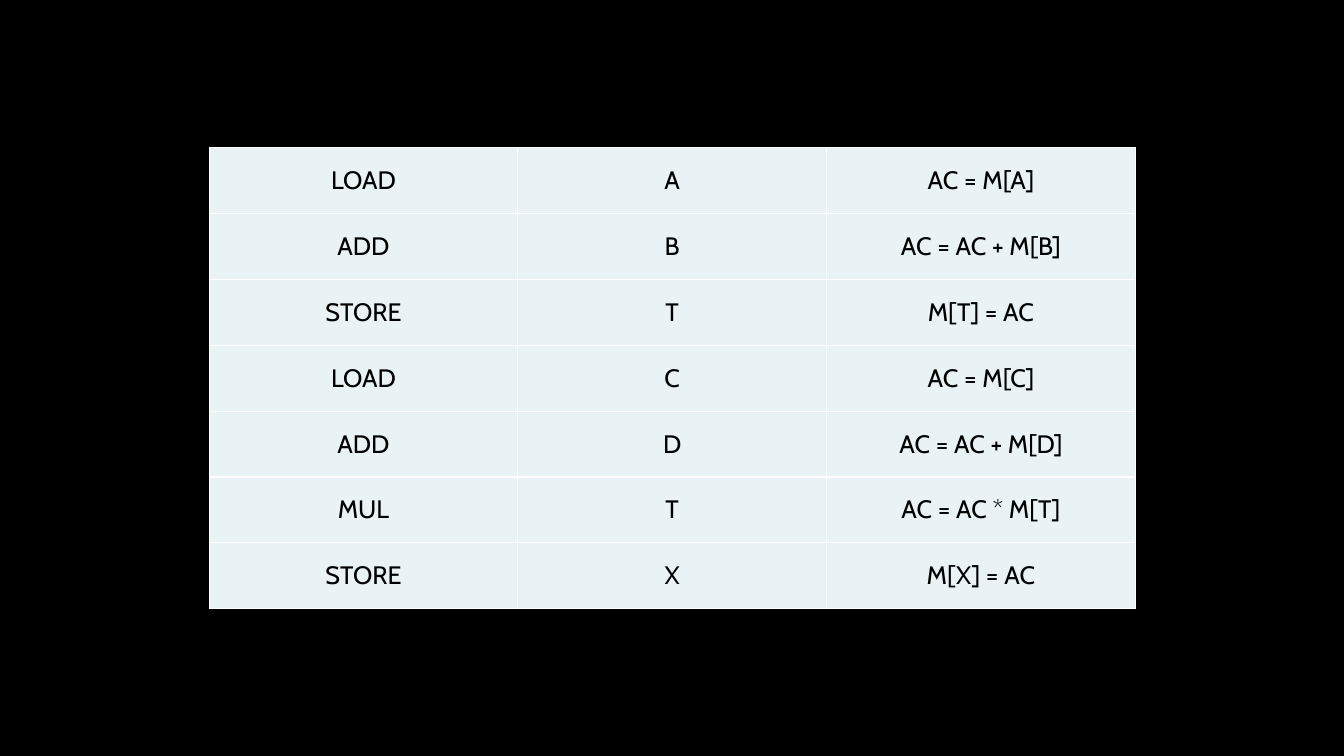
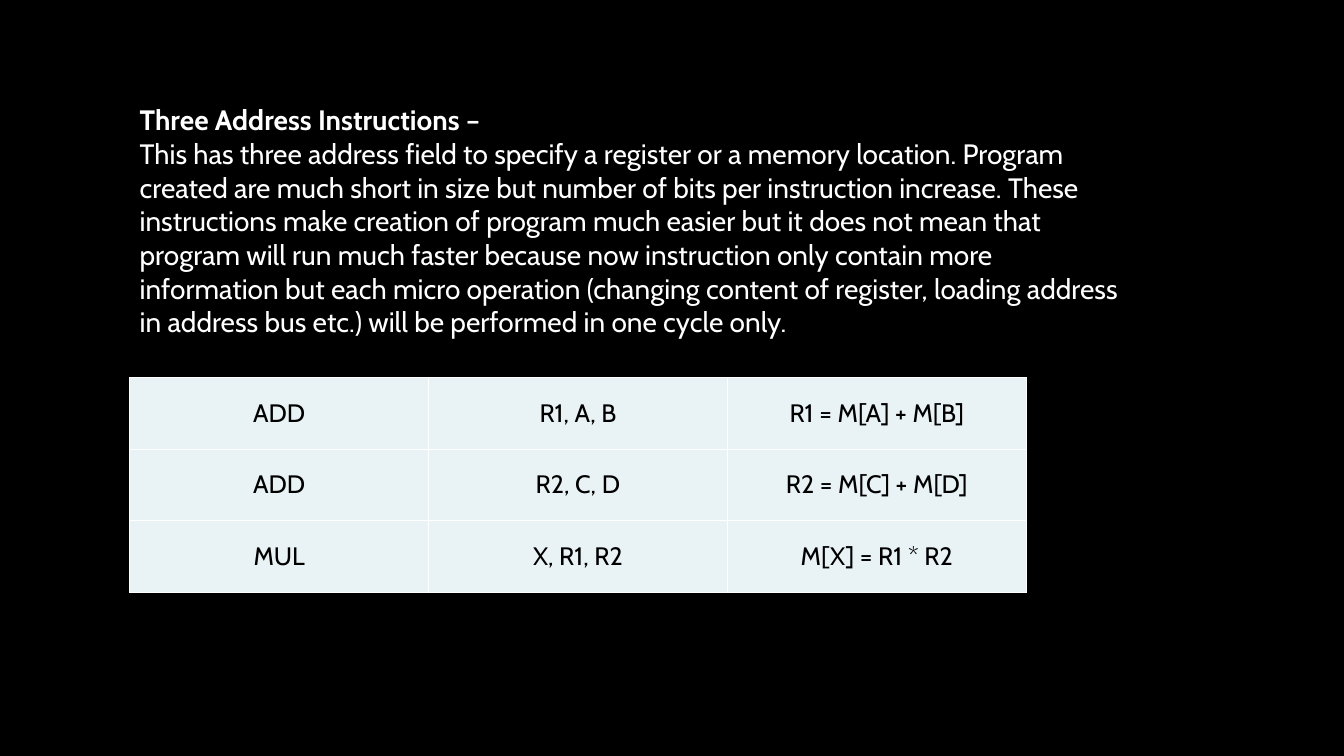
import dataclasses

import lxml.etree
import pptx
import pptx.dml.color
import pptx.enum.text
import pptx.oxml.ns
import pptx.util
from pptx.util import Cm


@dataclasses.dataclass(frozen=True)
class Theme:
    """Colours, font and sizes shared by all slides."""
    background: str = "000000"
    cell: str = "E9F2F4"
    border: str = "FFFFFF"
    cell_text: str = "000000"
    body_text: str = "FFFFFF"
    font: str = "Cabin"
    cell_size: int = 18
    body_size: int = 20
    border_width: int = 1


THEME = Theme()

ONE_ADDRESS_PROGRAM = [
    ("LOAD", "A", "AC = M[A]"),
    ("ADD", "B", "AC = AC + M[B]"),
    ("STORE", "T", "M[T] = AC"),
    ("LOAD", "C", "AC = M[C]"),
    ("ADD", "D", "AC = AC + M[D]"),
    ("MUL", "T", "AC = AC * M[T]"),
    ("STORE", "X", "M[X] = AC"),
]

THREE_ADDRESS_PROGRAM = [
    ("ADD", "R1, A, B", "R1 = M[A] + M[B]"),
    ("ADD", "R2, C, D", "R2 = M[C] + M[D]"),
    ("MUL", "X, R1, R2", "M[X] = R1 * R2"),
]

THREE_ADDRESS_HEADING = "Three Address Instructions –"
THREE_ADDRESS_TEXT = (
    "This has three address field to specify a register or a memory location. "
    "Program created are much short in size but number of bits per instruction "
    "increase. These instructions make creation of program much easier but it "
    "does not mean that program will run much faster because now instruction "
    "only contain more information but each micro operation (changing content "
    "of register, loading address in address bus etc.) will be performed in "
    "one cycle only."
)


def paint(fill, colour):
    """Give a fill one solid colour."""
    fill.solid()
    fill.fore_color.rgb = pptx.dml.color.RGBColor.from_string(colour)


def style_font(font, size, colour):
    """Apply the theme font with a size and colour."""
    font.name = THEME.font
    font.size = pptx.util.Pt(size)
    font.color.rgb = pptx.dml.color.RGBColor.from_string(colour)


def add_borders(cell):
    """Draw the theme border on all four sides of a cell."""
    properties = cell._tc.get_or_add_tcPr()
    qn = pptx.oxml.ns.qn
    for side in ("lnL", "lnR", "lnT", "lnB"):
        line = lxml.etree.SubElement(properties, qn(f"a:{side}"))
        line.set("w", str(pptx.util.Pt(THEME.border_width)))
        solid = lxml.etree.SubElement(line, qn("a:solidFill"))
        lxml.etree.SubElement(solid, qn("a:srgbClr")).set("val", THEME.border)


def fill_cell(cell, text):
    """Write centred text in a bordered, filled cell."""
    add_borders(cell)
    paint(cell.fill, THEME.cell)
    cell.vertical_anchor = pptx.enum.text.MSO_ANCHOR.MIDDLE
    cell.text = text
    para = cell.text_frame.paragraphs[0]
    para.alignment = pptx.enum.text.PP_ALIGN.CENTER
    style_font(para.font, THEME.cell_size, THEME.cell_text)


def add_program_table(page, program, left, top, column_width, row_height):
    """Add a table with one instruction per row."""
    columns = len(program[0])
    table = page.shapes.add_table(
        len(program), columns, left, top,
        column_width * columns, row_height * len(program)).table
    table.first_row = False
    table.horz_banding = False
    for column in table.columns:
        column.width = column_width
    for row, values in zip(table.rows, program):
        row.height = row_height
        for cell, value in zip(row.cells, values):
            fill_cell(cell, value)


def add_description(page, heading, text, left, top, width, height):
    """Add a bold heading with its text on the next line."""
    box = page.shapes.add_textbox(left, top, width, height)
    frame = box.text_frame
    frame.word_wrap = True
    frame.auto_size = pptx.enum.text.MSO_AUTO_SIZE.SHAPE_TO_FIT_TEXT
    para = frame.paragraphs[0]
    style_font(para.font, THEME.body_size, THEME.body_text)
    span = para.add_run()
    span.text = heading
    span.font.bold = True
    para.add_line_break()
    para.add_run().text = text


def add_page(deck):
    """Add a slide on the blank layout."""
    return deck.slides.add_slide(deck.slide_layouts[6])


def main():
    """Build and save the deck."""
    deck = pptx.Presentation()
    deck.slide_width = Cm(33.87)
    deck.slide_height = Cm(19.05)
    paint(deck.slide_master.background.fill, THEME.background)

    page = add_page(deck)
    add_program_table(page, ONE_ADDRESS_PROGRAM,
                      Cm(5.27), Cm(3.72), Cm(7.78), Cm(1.66))

    page = add_page(deck)
    left = Cm(3.27)
    add_description(page, THREE_ADDRESS_HEADING, THREE_ADDRESS_TEXT,
                    left, Cm(2.47), Cm(25.65), Cm(6.25))
    add_program_table(page, THREE_ADDRESS_PROGRAM,
                      left, Cm(9.52), Cm(7.53), Cm(1.8))

    deck.save("out.pptx")


main()
